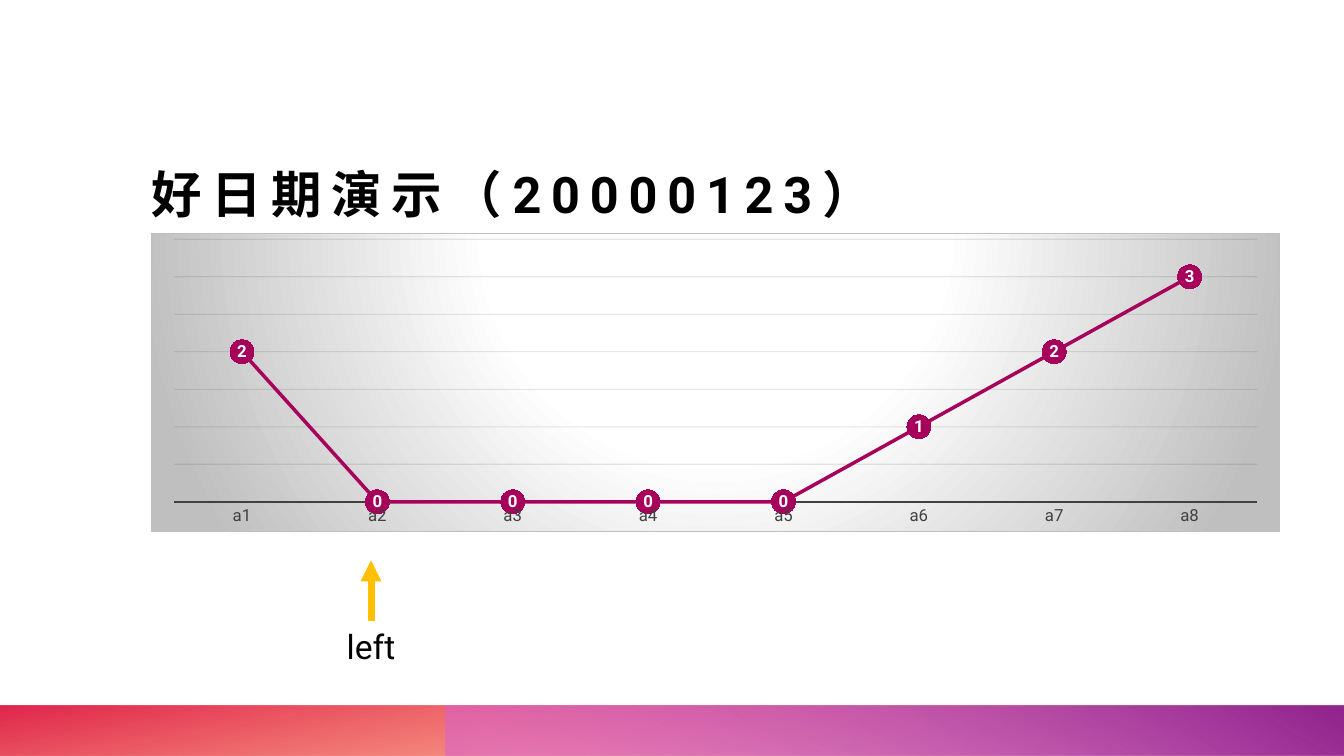
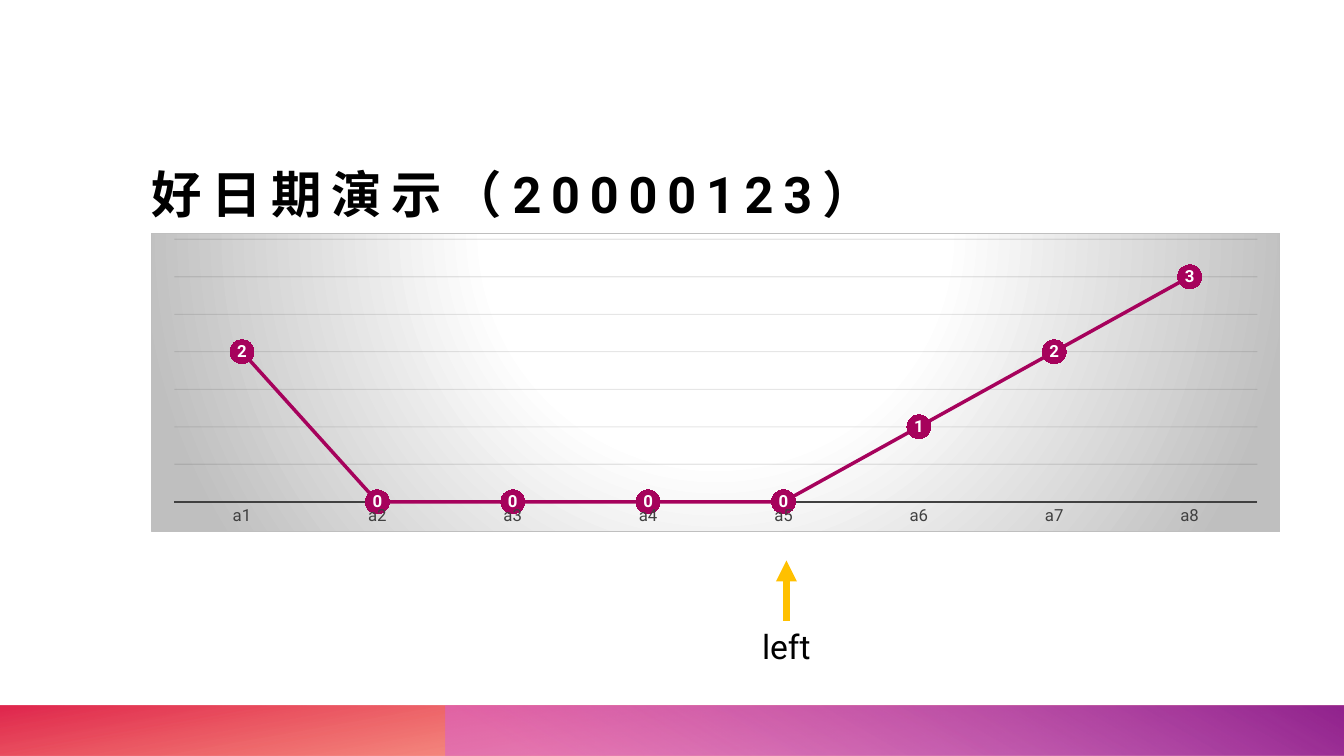
"""Build two date-demo slides, each pointing at a different place on a line chart."""
from dataclasses import dataclass

import pptx
import pptx.chart.chart
import pptx.chart.data
import pptx.dml.color
import pptx.enum.chart
import pptx.enum.shapes
import pptx.enum.text
import pptx.oxml
import pptx.oxml.ns
import pptx.oxml.xmlchemy
import pptx.shapes.autoshape
import pptx.slide
import pptx.text.text
from pptx.util import Inches

FONT = "Roboto"
COLORS = {
    "text": "000000",
    "label": "FFFFFF",
    "axis": "404040",
    "grid": "0D0D0D",
    "series": "A6025C",
    "border": "BFBFBF",
    "arrow": "FFC000",
    "orange": "FE4A00",
    "red": "DA002F",
    "pink": "D861D4",
    "purple": "92248E",
}
TITLE = "好日期演示（20000123）"
VALUES = (2, 0, 0, 0, 0, 1, 2, 3)
SLIDE_WIDTH, SLIDE_HEIGHT = 13.33, 7.5
BAND_TOP = 7
LEFT, WIDTH = 1.5, 11.2


@dataclass(frozen=True)
class Stop:
    position: int
    color: str
    opacity: int = 100


@dataclass(frozen=True)
class Band:
    left: float
    stops: tuple[Stop, ...]
    angle: int
    rotation: int = 0


@dataclass(frozen=True)
class Pointer:
    x: float
    label: str


BANDS = (
    Band(0, (Stop(14, "orange", 28), Stop(100, "red", 85)), 100, 180),
    Band(4.42, (Stop(9, "pink", 55), Stop(99, "purple")), 240),
)
CHART_STOPS = (Stop(0, "label"), Stop(39, "label"), Stop(100, "border"))
CHART_SHADE = (
    '<a:path path="circle"><a:fillToRect l="50000" t="-80000" '
    'r="50000" b="180000"/></a:path>'
)
POINTERS = (Pointer(3.68, "left"), Pointer(7.8, "left"))


def rgb(name: str) -> pptx.dml.color.RGBColor:
    return pptx.dml.color.RGBColor.from_string(COLORS[name])


def element(
    tag: str, content: str = "", attributes: str = ""
) -> pptx.oxml.xmlchemy.BaseOxmlElement:
    spaces = pptx.oxml.ns.nsdecls("a", "c")
    return pptx.oxml.parse_xml(f"<{tag} {spaces} {attributes}>{content}</{tag}>")


def gradient_xml(stops: tuple[Stop, ...], shade: str) -> str:
    marks = "".join(
        f'<a:gs pos="{stop.position * 1000}"><a:srgbClr val="{COLORS[stop.color]}">'
        f'<a:alpha val="{stop.opacity * 1000}"/></a:srgbClr></a:gs>'
        for stop in stops
    )
    return f'<a:gradFill rotWithShape="1"><a:gsLst>{marks}</a:gsLst>{shade}</a:gradFill>'


def set_font(
    font: pptx.text.text.Font, size: float, color: str, bold: bool = False
) -> None:
    font.name = FONT
    font.size = pptx.util.Pt(size)
    font.bold = bold
    font.color.rgb = rgb(color)


def add_band(page: pptx.slide.Slide, band: Band) -> pptx.shapes.autoshape.Shape:
    shape = page.shapes.add_shape(
        pptx.enum.shapes.MSO_SHAPE.RECTANGLE,
        Inches(band.left),
        Inches(BAND_TOP),
        Inches(SLIDE_WIDTH - band.left),
        Inches(SLIDE_HEIGHT - BAND_TOP),
    )
    shape.shadow.inherit = False
    shape.line.fill.background()
    shape.rotation = band.rotation
    properties = shape.element.spPr
    properties.find(pptx.oxml.ns.qn("a:xfrm")).set("flipH", "1")
    shade = f'<a:lin ang="{band.angle * 60000}" scaled="0"/>'
    fill = pptx.oxml.parse_xml(
        gradient_xml(band.stops, shade).replace(
            "<a:gradFill", f"<a:gradFill {pptx.oxml.ns.nsdecls('a')}", 1
        )
    )
    properties.find(pptx.oxml.ns.qn("a:prstGeom")).addnext(fill)
    return shape


def share_bands(page: pptx.slide.Slide) -> None:
    layout_tree = page.slide_layout.element.cSld.spTree
    for band in BANDS:
        layout_tree.append(add_band(page, band).element)


def add_title(page: pptx.slide.Slide) -> None:
    title = page.shapes.title
    title.left, title.top = Inches(LEFT), Inches(0.87)
    title.width, title.height = Inches(WIDTH), Inches(1.35)
    frame = title.text_frame
    frame.margin_left = frame.margin_right = 0
    frame.margin_top = frame.margin_bottom = 0
    frame.vertical_anchor = pptx.enum.text.MSO_ANCHOR.BOTTOM
    frame.auto_size = pptx.enum.text.MSO_AUTO_SIZE.NONE
    frame.text = TITLE
    para = frame.paragraphs[0]
    para.alignment = pptx.enum.text.PP_ALIGN.LEFT
    set_font(para.font, 36, "text", bold=True)
    para.runs[0]._r.get_or_add_rPr().set("spc", "700")


def style_chart_area(chart: pptx.chart.chart.Chart) -> None:
    border = (
        f'<a:ln w="9525"><a:solidFill><a:srgbClr val="{COLORS["border"]}"/>'
        "</a:solidFill></a:ln>"
    )
    area = element("c:spPr", gradient_xml(CHART_STOPS, CHART_SHADE) + border)
    space = chart.element
    space.find(pptx.oxml.ns.qn("c:txPr")).addprevious(area)

    plot_area = space.find(f".//{pptx.oxml.ns.qn('c:plotArea')}")
    old_layout = plot_area.find(pptx.oxml.ns.qn("c:layout"))
    if old_layout is not None:
        plot_area.remove(old_layout)
    bounds = {"x": 0.02, "y": 0.02, "w": 0.96, "h": 0.88}
    layout = (
        '<c:layoutTarget val="inner"/><c:xMode val="edge"/><c:yMode val="edge"/>'
        + "".join(f'<c:{key} val="{value}"/>' for key, value in bounds.items())
    )
    plot_area.insert(
        0, element("c:layout", f"<c:manualLayout>{layout}</c:manualLayout>")
    )


def style_axes(chart: pptx.chart.chart.Chart) -> None:
    categories = chart.category_axis
    categories.major_tick_mark = pptx.enum.chart.XL_TICK_MARK.NONE
    categories.format.line.color.rgb = rgb("axis")
    categories.format.line.width = pptx.util.Pt(1.5)
    set_font(categories.tick_labels.font, 12, "axis")

    values = chart.value_axis
    values.visible = False
    values.minimum_scale, values.maximum_scale = 0, 3.5
    values.major_unit = 0.5
    values.has_major_gridlines = True
    grid = values.major_gridlines.format.line
    grid.color.rgb = rgb("grid")
    grid.width = pptx.util.Pt(0.75)
    grid_color = values.major_gridlines._xAx.find(
        f".//{pptx.oxml.ns.qn('c:majorGridlines')}//{pptx.oxml.ns.qn('a:srgbClr')}"
    )
    grid_color.append(element("a:alpha", attributes='val="10000"'))


def style_series(chart: pptx.chart.chart.Chart) -> None:
    plot = chart.plots[0]
    plot.vary_by_categories = False
    series = plot.series[0]
    series.smooth = False
    series.format.line.color.rgb = rgb("series")
    series.format.line.width = pptx.util.Pt(2.5)
    marker = series.marker
    marker.style = pptx.enum.chart.XL_MARKER_STYLE.CIRCLE
    marker.size = 17
    marker.format.fill.solid()
    marker.format.fill.fore_color.rgb = rgb("series")
    marker.format.line.fill.background()
    labels = series.data_labels
    labels.show_value = True
    labels.position = pptx.enum.chart.XL_LABEL_POSITION.CENTER
    set_font(labels.font, 12, "label", bold=True)


def add_line_chart(page: pptx.slide.Slide) -> None:
    data = pptx.chart.data.CategoryChartData()
    data.categories = [f"a{number}" for number in range(1, len(VALUES) + 1)]
    data.add_series("Series 1", VALUES)
    chart = page.shapes.add_chart(
        pptx.enum.chart.XL_CHART_TYPE.LINE_MARKERS,
        Inches(LEFT),
        Inches(2.31),
        Inches(WIDTH),
        Inches(2.97),
        data,
    ).chart
    chart.has_title = False
    chart.has_legend = False
    set_font(chart.font, 10, "text")
    style_chart_area(chart)
    style_axes(chart)
    style_series(chart)


def add_pointer(page: pptx.slide.Slide, pointer: Pointer) -> None:
    group = page.shapes.add_group_shape()
    base = Inches(6.16)
    arrow = group.shapes.add_connector(
        pptx.enum.shapes.MSO_CONNECTOR.STRAIGHT,
        Inches(pointer.x),
        base,
        Inches(pointer.x),
        Inches(5.56),
    )
    arrow.line.color.rgb = rgb("arrow")
    arrow.line.width = pptx.util.Pt(5)
    properties = arrow.element.spPr
    properties.find(pptx.oxml.ns.qn("a:ln")).append(
        element("a:tailEnd", attributes='type="triangle"')
    )
    properties.append(element("a:effectLst"))

    box = group.shapes.add_textbox(
        Inches(pointer.x - 0.34), base, Inches(1.13), Inches(0.5)
    )
    frame = box.text_frame
    frame.word_wrap = True
    frame.auto_size = pptx.enum.text.MSO_AUTO_SIZE.SHAPE_TO_FIT_TEXT
    frame.text = pointer.label
    set_font(frame.paragraphs[0].font, 24, "text")


def main() -> None:
    deck = pptx.Presentation()
    deck.slide_width = Inches(SLIDE_WIDTH)
    deck.slide_height = Inches(SLIDE_HEIGHT)
    title_only = deck.slide_layouts[5]
    for pointer in POINTERS:
        page = deck.slides.add_slide(title_only)
        add_title(page)
        add_line_chart(page)
        add_pointer(page, pointer)
    share_bands(deck.slides[0])
    deck.save("out.pptx")


if __name__ == "__main__":
    main()
